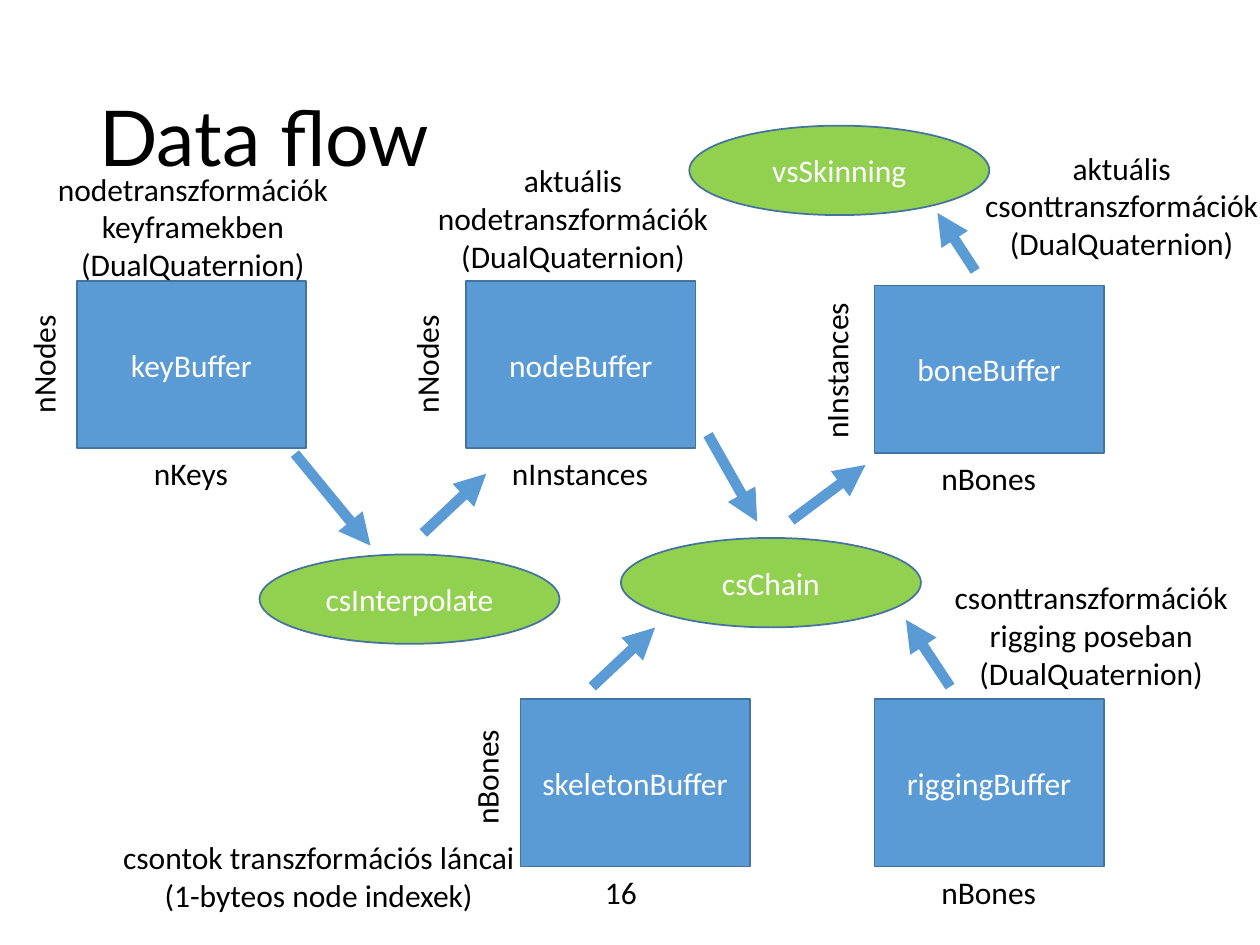
from lxml import etree
from pptx import Presentation
from pptx.dml.color import RGBColor
from pptx.enum import shapes, text
from pptx.oxml.ns import qn
from pptx.util import Pt

COLOURS = {
    "buffer": "5B9BD5",
    "shader": "92D050",
    "outline": "43739E",
    "light": "FFFFFF",
    "dark": "000000",
}
BUFFER_SIZE = (131, 95.6)
SHADER_SIZE = (171.4, 51.1)
LABEL_HEIGHT = 29
LABEL_WIDTHS = {"nNodes": 71.3, "nKeys": 57.6, "nInstances": 92.9, "nBones": 69.1, "16": 33.1}

# Name, left, top, label below and its centre x, label at the side and its centre
BUFFERS = [
    ("keyBuffer", 43.9, 160.5, "nKeys", 109.1, "nNodes", (24.8, 208.1)),
    ("nodeBuffer", 266.4, 160.5, "nInstances", 331.4, "nNodes", (243.7, 208.1)),
    ("boneBuffer", 499.7, 163.2, "nBones", 565, "nInstances", (477.7, 211.9)),
    ("skeletonBuffer", 297.4, 399.5, "16", 354.8, "nBones", (277.9, 444.2)),
    ("riggingBuffer", 499.7, 399.5, "nBones", 565, None, None),
]

# Name, left, top
SHADERS = [
    ("csInterpolate", 148.3, 316.8),
    ("csChain", 354.8, 307.4),
    ("vsSkinning", 393.9, 71.8),
]

# Start x, start y, end x, end y
ARROWS = [
    (168.5, 259.2, 211.7, 311.8),
    (241.9, 304.6, 277.9, 270.7),
    (338.4, 392.4, 374.4, 358.6),
    (542.9, 392.4, 517.7, 354.2),
    (404.6, 248.4, 432.7, 298.1),
    (452.2, 297.4, 494.6, 265.7),
    (557.3, 154.8, 535.7, 121.7),
]

# Text, left, top, width, height
NOTES = [
    ("nodetranszformációk\nkeyframekben\n(DualQuaternion)", 25, 93.4, 170.6, 72.7),
    ("aktuális\nnodetranszformációk\n(DualQuaternion)", 242.2, 88.6, 170.6, 72.7),
    ("aktuális\ncsonttranszformációk\n(DualQuaternion)", 554.9, 81.4, 172.1, 72.7),
    ("csonttranszformációk\nrigging poseban\n(DualQuaternion)", 537.5, 326.9, 172.1, 72.7),
    ("csontok transzformációs láncai\n(1-byteos node indexek)", 61.9, 475.2, 240.5, 51.1),
]


def colour(name):
    return RGBColor.from_string(COLOURS[name])


def write(frame, words, shade, size=18, font="Calibri", align=text.PP_ALIGN.CENTER):
    frame.text = words
    for para in frame.paragraphs:
        para.alignment = align
        for span in para.runs:
            span.font.name = font
            span.font.size = Pt(size)
            span.font.color.rgb = colour(shade)


def add_title(page, words):
    box = page.shapes.add_textbox(Pt(49.7), Pt(28.8), Pt(620.6), Pt(104.4))
    frame = box.text_frame
    frame.word_wrap = True
    frame.vertical_anchor = text.MSO_ANCHOR.MIDDLE
    write(frame, words, "dark", 44, "Lato", text.PP_ALIGN.LEFT)
    frame.paragraphs[0].line_spacing = 0.9


def add_node(page, kind, fill, name, left, top, size):
    node = page.shapes.add_shape(kind, Pt(left), Pt(top), *map(Pt, size))
    node.shadow.inherit = False
    node.fill.solid()
    node.fill.fore_color.rgb = colour(fill)
    node.line.color.rgb = colour("outline")
    node.line.width = Pt(1)
    node.text_frame.vertical_anchor = text.MSO_ANCHOR.MIDDLE
    write(node.text_frame, name, "light")


def add_note(page, words, left, top, width, height):
    box = page.shapes.add_textbox(Pt(left), Pt(top), Pt(width), Pt(height))
    box.text_frame.word_wrap = False
    box.text_frame.auto_size = text.MSO_AUTO_SIZE.SHAPE_TO_FIT_TEXT
    write(box.text_frame, words, "dark")
    return box


def add_label(page, words, centre_x, centre_y, rotation=0):
    width = LABEL_WIDTHS[words]
    box = add_note(page, words, centre_x - width / 2, centre_y - LABEL_HEIGHT / 2,
                   width, LABEL_HEIGHT)
    box.rotation = rotation


def add_buffer(page, name, left, top, below, below_x, side, side_centre):
    add_node(page, shapes.MSO_SHAPE.RECTANGLE, "buffer", name, left, top, BUFFER_SIZE)
    add_label(page, below, below_x, top + BUFFER_SIZE[1] + LABEL_HEIGHT / 2)
    if side:
        add_label(page, side, *side_centre, rotation=270)


def add_arrow(page, *ends):
    arrow = page.shapes.add_connector(shapes.MSO_CONNECTOR.STRAIGHT, *map(Pt, ends))
    arrow.line.color.rgb = colour("buffer")
    arrow.line.width = Pt(6)
    line = arrow._element.spPr.find(qn("a:ln"))
    etree.SubElement(line, qn("a:tailEnd"), type="triangle")
    etree.SubElement(arrow._element.spPr, qn("a:effectLst"))


def main():
    deck = Presentation()
    deck.slide_width, deck.slide_height = Pt(720), Pt(540)
    page = deck.slides.add_slide(deck.slide_layouts[6])

    add_title(page, "Data flow")

    # Buffers with their dimensions
    for buffer in BUFFERS:
        add_buffer(page, *buffer)

    # Shader stages
    for shader in SHADERS:
        add_node(page, shapes.MSO_SHAPE.OVAL, "shader", *shader, SHADER_SIZE)

    # Flow between buffers and shaders
    for ends in ARROWS:
        add_arrow(page, *ends)

    # Descriptions of the buffer contents
    for note in NOTES:
        add_note(page, *note)

    deck.save("out.pptx")


if __name__ == "__main__":
    main()
